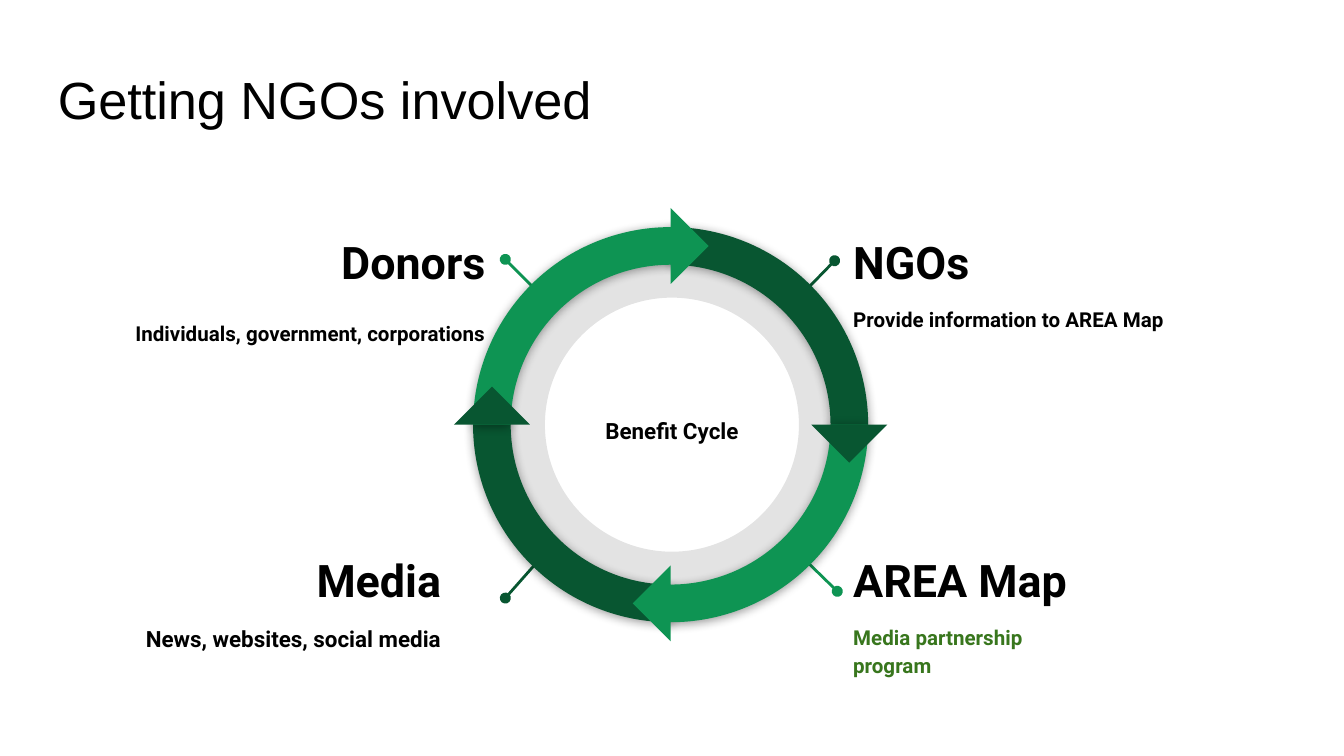
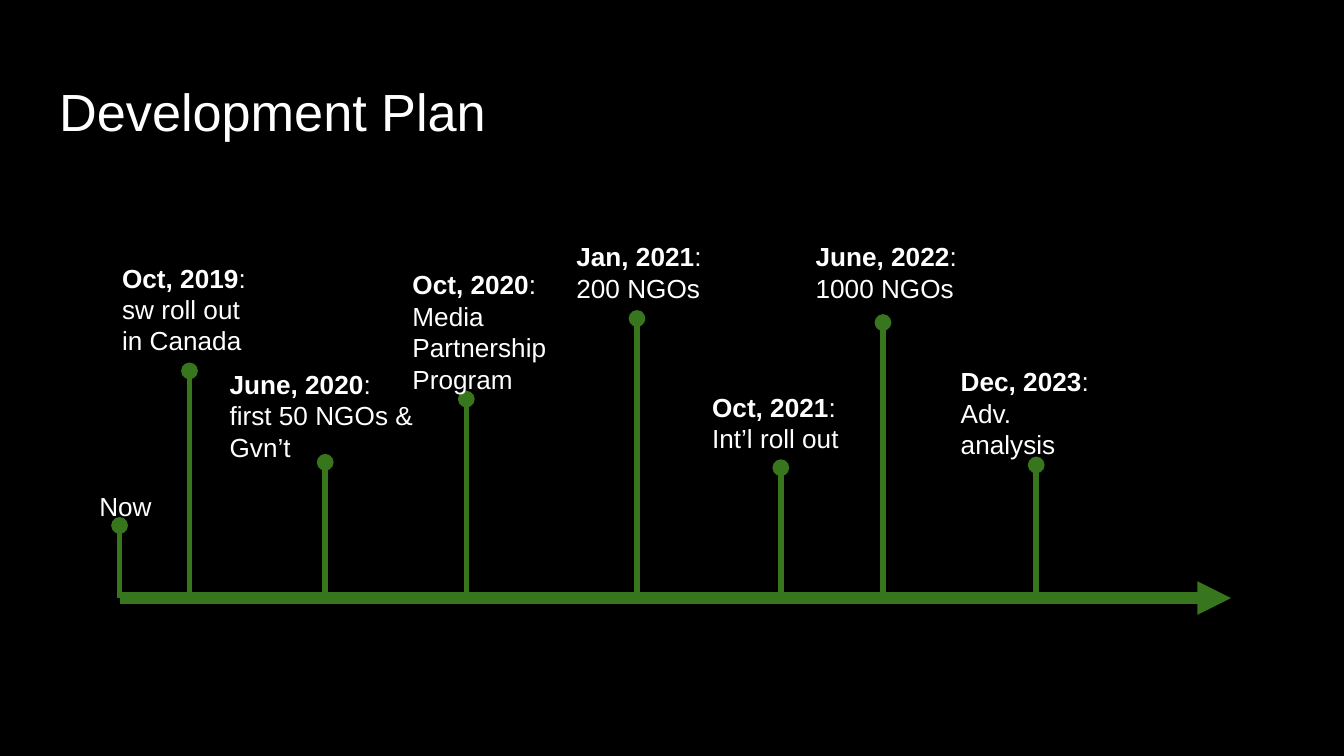
from math import cos, radians, sin

from lxml import etree
from pptx import Presentation
from pptx.dml.color import RGBColor
from pptx.enum.shapes import MSO_CONNECTOR, MSO_SHAPE
from pptx.enum.text import MSO_ANCHOR, PP_ALIGN
from pptx.oxml.ns import qn
from pptx.util import Inches, Pt

BLACK = RGBColor(0x00, 0x00, 0x00)
WHITE = RGBColor(0xFF, 0xFF, 0xFF)
LIGHT_GREEN = RGBColor(0x0E, 0x94, 0x53)
DARK_GREEN = RGBColor(0x08, 0x56, 0x31)
LEAF_GREEN = RGBColor(0x38, 0x76, 0x1D)

LEFT, CENTER, RIGHT = PP_ALIGN.LEFT, PP_ALIGN.CENTER, PP_ALIGN.RIGHT
TOP, MIDDLE = MSO_ANCHOR.TOP, MSO_ANCHOR.MIDDLE
STRAIGHT = MSO_CONNECTOR.STRAIGHT
DONUT, BLOCK_ARC = MSO_SHAPE.DONUT, MSO_SHAPE.BLOCK_ARC
TRIANGLE = MSO_SHAPE.RIGHT_TRIANGLE

SLIDE_WIDTH = 10
SLIDE_HEIGHT = SLIDE_WIDTH * 9 / 16
INSET = 0.1

# Callouts: heading, detail, detail format, alignment, text box, pointer, colour
CALLOUTS = [
    ("Donors", "Individuals, government, corporations", dict(size=11, before=15),
     RIGHT, (0.9, 1.59, 2.81, 0.73), (3.76, 1.93, 4.14, 2.31), LIGHT_GREEN),
    ("Media", "News, websites, social media", dict(size=12, before=8),
     RIGHT, (0.69, 3.95, 2.69, 0.82), (3.76, 4.45, 4.14, 4.02), DARK_GREEN),
    ("AREA Map", "Media partnership program", dict(size=11, before=8, color=LEAF_GREEN),
     LEFT, (6.25, 3.95, 1.97, 0.94), (6.23, 4.4, 5.84, 4.02), LIGHT_GREEN),
    ("NGOs", "Provide information to AREA Map", dict(size=11, before=8),
     LEFT, (6.25, 1.59, 2.65, 1.3), (6.21, 1.94, 5.85, 2.31), DARK_GREEN),
]

# Ring: centre, outer radius, band thickness, and the angle where each arrow ends
RING_X, RING_Y, RING_RADIUS, RING_BAND = 4.99, 3.16, 1.47, 0.28
ARROWS = [(0, DARK_GREEN), (180, DARK_GREEN), (90, LIGHT_GREEN), (270, LIGHT_GREEN)]
ARROW_SIZE = 0.4
OVERLAP = 2  # degrees of arc hidden below its arrowhead

# Milestones: date, paragraphs after the date, stem x, stem top, text box
AXIS_Y, AXIS_END = 4.45, 9.16
MILESTONES = [
    ("", ["Now"], 0.89, 3.91, (0.64, 3.55, 0.78, 0.36)),
    ("Oct, 2019", [": sw roll out in Canada"], 1.41, 2.76, (0.81, 1.85, 1.21, 0.79)),
    ("June, 2020", [": first 50 NGOs & Gvn’t"], 2.42, 3.44, (1.61, 2.64, 1.61, 0.79)),
    ("Oct, 2020", [": Media Partnership Program"], 3.47, 2.97, (2.97, 1.9, 1.61, 0.63)),
    ("Jan, 2021", [":", "200 NGOs"], 4.74, 2.37, (4.19, 1.69, 1.61, 0.63)),
    ("Oct, 2021", [": Int’l roll out"], 5.81, 3.48, (5.2, 2.81, 1.21, 0.79)),
    ("June, 2022", [": 1000 NGOs"], 6.57, 2.4, (5.97, 1.69, 1.32, 0.83)),
    ("Dec, 2023", [": Adv. analysis"], 7.71, 3.46, (7.05, 2.62, 1.32, 0.83)),
]


def inches(*values):
    return [Inches(value) for value in values]


def write(shape, paragraphs, font="Arial", size=14, color=BLACK, bold=False,
          align=LEFT, spacing=1.0, anchor=TOP):
    """Each paragraph is a list of (text, format) runs."""
    frame = shape.text_frame
    frame.word_wrap = True
    frame.vertical_anchor = anchor
    frame.margin_left = frame.margin_right = Inches(INSET)
    frame.margin_top = frame.margin_bottom = Inches(INSET)
    for index, runs in enumerate(paragraphs):
        paragraph = frame.add_paragraph() if index else frame.paragraphs[0]
        paragraph.alignment = align
        paragraph.line_spacing = spacing
        for text, style in runs:
            if "before" in style:
                paragraph.space_before = Pt(style["before"])
            run = paragraph.add_run()
            run.text = text
            run.font.name = font
            run.font.size = Pt(style.get("size", size))
            run.font.bold = style.get("bold", bold)
            run.font.color.rgb = style.get("color", color)


def add_text(slide, box, paragraphs, **style):
    write(slide.shapes.add_textbox(*inches(*box)), paragraphs, **style)


def add_line(slide, ends, color, width, **line_ends):
    connector = slide.shapes.add_connector(STRAIGHT, *inches(*ends))
    connector.line.color.rgb = color
    connector.line.width = Pt(width)
    properties = connector._element.spPr
    outline = properties.find(qn("a:ln"))
    for tag, kind in line_ends.items():
        etree.SubElement(outline, qn("a:" + tag), type=kind)
    etree.SubElement(properties, qn("a:effectLst"))


def set_alpha(color_element, percent):
    etree.SubElement(color_element, qn("a:alpha"), val=str(percent * 1000))


def add_centered(slide, kind, x, y, size, color):
    shape = slide.shapes.add_shape(
        kind, *inches(x - size / 2, y - size / 2, size, size))
    shape.shadow.inherit = False
    shape.fill.solid()
    shape.fill.fore_color.rgb = color
    shape.line.fill.background()
    return shape


def add_soft_shadow(shape):
    effects = shape._element.spPr.find(qn("a:effectLst"))
    shadow = etree.SubElement(effects, qn("a:outerShdw"), blurRad=str(Pt(5.6)),
                              dist=str(Pt(0.8)), dir="5400000", rotWithShape="0")
    set_alpha(etree.SubElement(shadow, qn("a:srgbClr"), val=str(BLACK)), 40)


def add_titled_slide(presentation, title, background, color, left, top):
    slide = presentation.slides.add_slide(presentation.slide_layouts[5])
    slide.background.fill.solid()
    slide.background.fill.fore_color.rgb = background
    shape = slide.shapes.title
    shape.left, shape.top, shape.width, shape.height = inches(left, top, 9.32, 0.63)
    write(shape, [[(title, {})]], size=28, color=color)
    return slide


def build_cycle(presentation):
    slide = add_titled_slide(presentation, "Getting NGOs involved", WHITE, BLACK, 0.33, 0.4)

    # Pale inner ring
    inner_ring = add_centered(slide, DONUT, 5, RING_Y, 2.78, BLACK)
    inner_ring.adjustments[0] = 0.16
    set_alpha(next(inner_ring._element.spPr.iter(qn("a:srgbClr"))), 11)

    # Callouts and centre label
    label = dict(font="Roboto", bold=True, spacing=1.15)
    for heading, detail, style, align, box, pointer, color in CALLOUTS:
        add_line(slide, pointer, color, 1.5, headEnd="oval")
        add_text(slide, box, [[(heading, dict(size=24))], [(detail, style)]],
                 align=align, **label)
    add_text(slide, (4.21, 2.75, 1.58, 0.88), [[("Benefit Cycle", {})]],
             size=12, align=CENTER, anchor=MIDDLE, **label)

    # Quarter arcs, then the arrowhead at the end of each
    for angle, color in ARROWS:
        arc = add_centered(slide, BLOCK_ARC, RING_X, RING_Y, 2 * RING_RADIUS, color)
        arc.adjustments[0] = (angle - 90) % 360 * 0.6  # degrees * 60000 / 100000
        arc.adjustments[1] = (angle + OVERLAP) * 0.6
        arc.adjustments[2] = RING_BAND / (2 * RING_RADIUS)
        add_soft_shadow(arc)
    middle_radius = RING_RADIUS - RING_BAND / 2
    for angle, color in ARROWS:
        head = add_centered(slide, TRIANGLE,
                            RING_X + middle_radius * cos(radians(angle)),
                            RING_Y + middle_radius * sin(radians(angle)),
                            ARROW_SIZE, color)
        head.rotation = (angle + 315) % 360


def build_timeline(presentation):
    slide = add_titled_slide(presentation, "Development Plan", BLACK, WHITE, 0.34, 0.49)

    # Time axis
    add_line(slide, (MILESTONES[0][2], AXIS_Y, AXIS_END, AXIS_Y), LEAF_GREEN, 6,
             tailEnd="triangle")

    # Stems and labels
    for date, texts, x, top, box in MILESTONES:
        add_line(slide, (x, AXIS_Y, x, top), LEAF_GREEN, 3, tailEnd="oval")
        paragraphs = [[(text, {})] for text in texts]
        if date:
            paragraphs[0].insert(0, (date, dict(bold=True)))
        add_text(slide, box, paragraphs, color=WHITE)


def main():
    presentation = Presentation()
    presentation.slide_width, presentation.slide_height = inches(SLIDE_WIDTH, SLIDE_HEIGHT)
    build_cycle(presentation)
    build_timeline(presentation)
    presentation.save("out.pptx")


if __name__ == "__main__":
    main()
